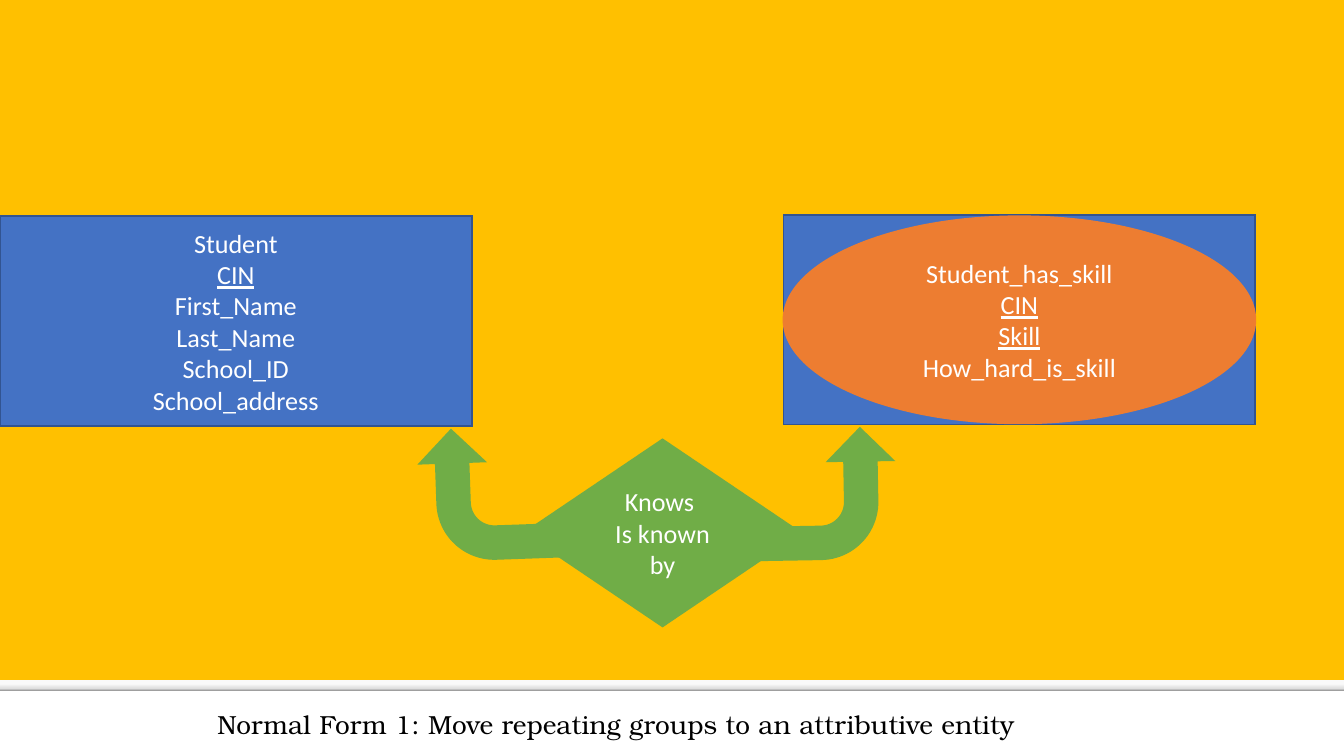
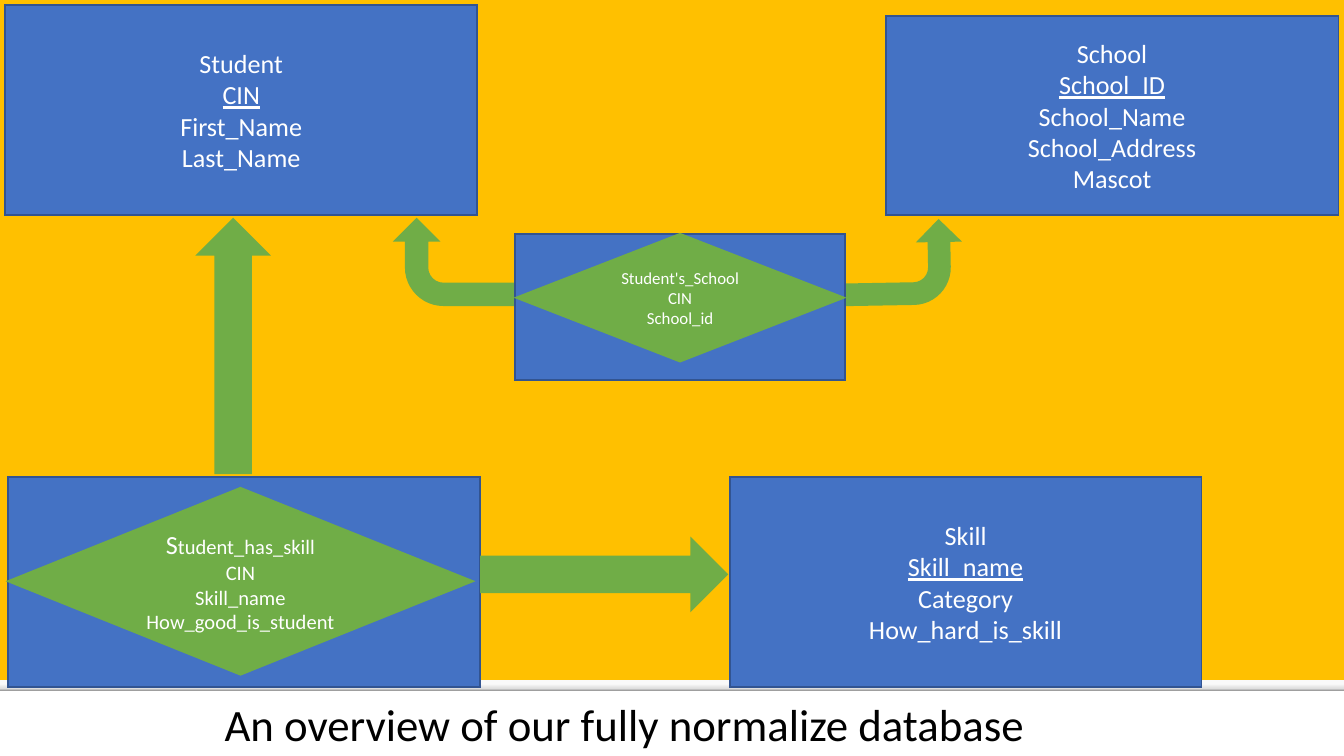
"""Build two slides that show a student database being normalized."""
from copy import deepcopy

from lxml import etree
from pptx import Presentation
from pptx import util as u
from pptx.dml.color import RGBColor
from pptx.enum import shapes, text
from pptx.oxml.ns import qn


class Theme:
    canvas = "FFC000"
    entity = "4472C4"
    entity_edge = "325491"
    attributive = "ED7D31"
    relation = "70AD47"
    label = "FFFFFF"
    caption = "000000"
    shade = ((0, "F9F9F9"), (0.36, "F9F9F9"), (0.8, "DEDEDE"), (1, "999999"))
    font = "Calibri"
    caption_font = "TeX Gyre Bonum"
    normal, small, tiny, large = 14, 11, 9, 24


FORM = shapes.MSO_SHAPE
ENTITY_SIZE = (3.51, 1.56)


def style_run(run, size, colour=Theme.label, font=Theme.font):
    run.font.size = u.Pt(size)
    run.font.name = font
    run.font.color.rgb = RGBColor.from_string(colour)


def add_part(slide, form, box, colour, lines=(), keys=(), size=Theme.normal, turn=0, flip=False):
    part = slide.shapes.add_shape(form, *map(u.Inches, box))
    part.shadow.inherit = False
    part.rotation = turn
    if flip:
        part.element.spPr.find(qn("a:xfrm")).set("flipH", "1")
    part.fill.solid()
    part.fill.fore_color.rgb = RGBColor.from_string(colour)
    edge = Theme.entity_edge if colour == Theme.entity else colour
    part.line.color.rgb = RGBColor.from_string(edge)
    part.line.width = u.Pt(1)
    etree.SubElement(part.element.spPr.find(qn("a:ln")), qn("a:miter"), lim="800000")
    if lines:
        frame = part.text_frame
        frame.word_wrap = True
        frame.vertical_anchor = text.MSO_ANCHOR.MIDDLE
        frame.text = "\n".join(lines)
        for paragraph in frame.paragraphs:
            paragraph.alignment = text.PP_ALIGN.CENTER
            for run in paragraph.runs:
                style_run(run, size)
                run.font.underline = paragraph.text in keys
    return part


prs = Presentation()
prs.slide_width = u.Inches(10)
prs.slide_height = prs.slide_width * 9 // 16
layout = prs.slide_layouts[2]
captions = (
    ("Normal Form 1: Move repeating groups to an attributive entity", 0, Theme.normal, Theme.caption_font),
    ("An overview of our fully normalize database", 0.06, Theme.large, Theme.font),
)
for wording, left, size, font in captions:
    slide = prs.slides.add_slide(layout)
    slide.shapes.title.element.getparent().remove(slide.shapes.title.element)
    caption = slide.placeholders[1]
    caption.left, caption.top, caption.width, caption.height = map(u.Inches, (left, 5.14, 9.17, 0.49))
    frame = caption.text_frame
    frame.text = wording
    frame.word_wrap = True
    frame.auto_size = text.MSO_AUTO_SIZE.NONE
    frame.vertical_anchor = text.MSO_ANCHOR.MIDDLE
    frame.margin_left = frame.margin_right = frame.margin_top = frame.margin_bottom = u.Inches(0.1)
    frame.paragraphs[0].alignment = text.PP_ALIGN.CENTER
    frame.paragraphs[0].space_before = u.Pt(0)
    style_run(frame.paragraphs[0].runs[0], size, Theme.caption, font)

first_form, overview = prs.slides

canvas = add_part(first_form, FORM.RECTANGLE, (0, 0, 10, 5.14), Theme.canvas)
shade = add_part(first_form, FORM.RECTANGLE, (0, 5.06, 10, 0.08), Theme.canvas)
shade.fill.gradient()
shade.fill.gradient_angle = 270
stops = shade.element.spPr.find(".//" + qn("a:gsLst"))
stops.extend([deepcopy(stops[0]), deepcopy(stops[0])])
for stop, (position, colour) in zip(shade.fill.gradient_stops, Theme.shade):
    stop.position = position
    stop.color.rgb = RGBColor.from_string(colour)
for order, band in enumerate((canvas, shade)):
    band.line.fill.background()
    band.element.find(".//" + qn("p:cNvPr")).set("id", str(101 + order))
    layout.shapes.element.insert(2 + order, band.element)

add_part(first_form, FORM.RECTANGLE, (0, 1.61, *ENTITY_SIZE), Theme.entity,
         ("Student", "CIN", "First_Name", "Last_Name", "School_ID", "School_address"), ("CIN",))
add_part(first_form, FORM.RECTANGLE, (5.83, 1.6, *ENTITY_SIZE), Theme.entity)
add_part(first_form, FORM.OVAL, (5.83, 1.61, 3.51, 1.54), Theme.attributive,
         ("Student_has_skill", "CIN", "Skill", "How_hard_is_skill"), ("CIN", "Skill"))
add_part(first_form, FORM.BENT_ARROW, (3.15, 3.17, 0.97, 1.01), Theme.relation, turn=268)
add_part(first_form, FORM.FLOWCHART_DECISION, (3.9, 3.27, 2.06, 1.39), Theme.relation,
         ("Knows ", "Is known by"))
add_part(first_form, FORM.BENT_ARROW, (5.66, 3.17, 0.97, 1.01), Theme.relation, turn=89, flip=True)

main_entities = (
    ((0.04, 0.04, *ENTITY_SIZE), ("Student", "CIN", "First_Name", "Last_Name")),
    ((6.59, 0.12, 3.37, 1.48), ("School", "School_ID", "School_Name", "School_Address", "Mascot")),
)
skill_entities = (
    ((5.43, 3.55, *ENTITY_SIZE), ("Skill", "Skill_name", "Category", "How_hard_is_skill")),
    ((0.06, 3.55, *ENTITY_SIZE), ()),
)
school_arrows = (
    (FORM.BENT_ARROW, (3.12, 1.45, 0.64, 1), 270, False),
    (FORM.BENT_ARROW, (6.33, 1.45, 0.62, 1.01), 89, True),
)
skill_arrows = (
    (FORM.LEFT_ARROW, (3.58, 4.01, 1.83, 0.53), 0, True),
    (FORM.UP_ARROW, (1.47, 1.63, 0.53, 1.89), 0, False),
)
for entities, arrows in ((main_entities, school_arrows), (skill_entities, skill_arrows)):
    for box, lines in entities:
        add_part(overview, FORM.RECTANGLE, box, Theme.entity, lines, lines[1:2])
    for form, box, turn, flip in arrows:
        add_part(overview, form, box, Theme.relation, turn=turn, flip=flip)

has_skill = add_part(overview, FORM.FLOWCHART_DECISION, (0.06, 3.63, 3.46, 1.39), Theme.relation,
                     ("S", "CIN", "Skill_name", "How_good_is_student"), size=Theme.small)
heading = has_skill.text_frame.paragraphs[0]
heading.runs[0].font.size = u.Pt(Theme.normal)
heading_rest = heading.add_run()
heading_rest.text = "tudent_has_skill"
style_run(heading_rest, Theme.small)
add_part(overview, FORM.RECTANGLE, (3.83, 1.74, 2.46, 1.09), Theme.entity)
add_part(overview, FORM.FLOWCHART_DECISION, (3.84, 1.74, 2.44, 0.95), Theme.relation,
         ("Student's_School", "CIN", "School_id"), size=Theme.tiny)

prs.save("out.pptx")
